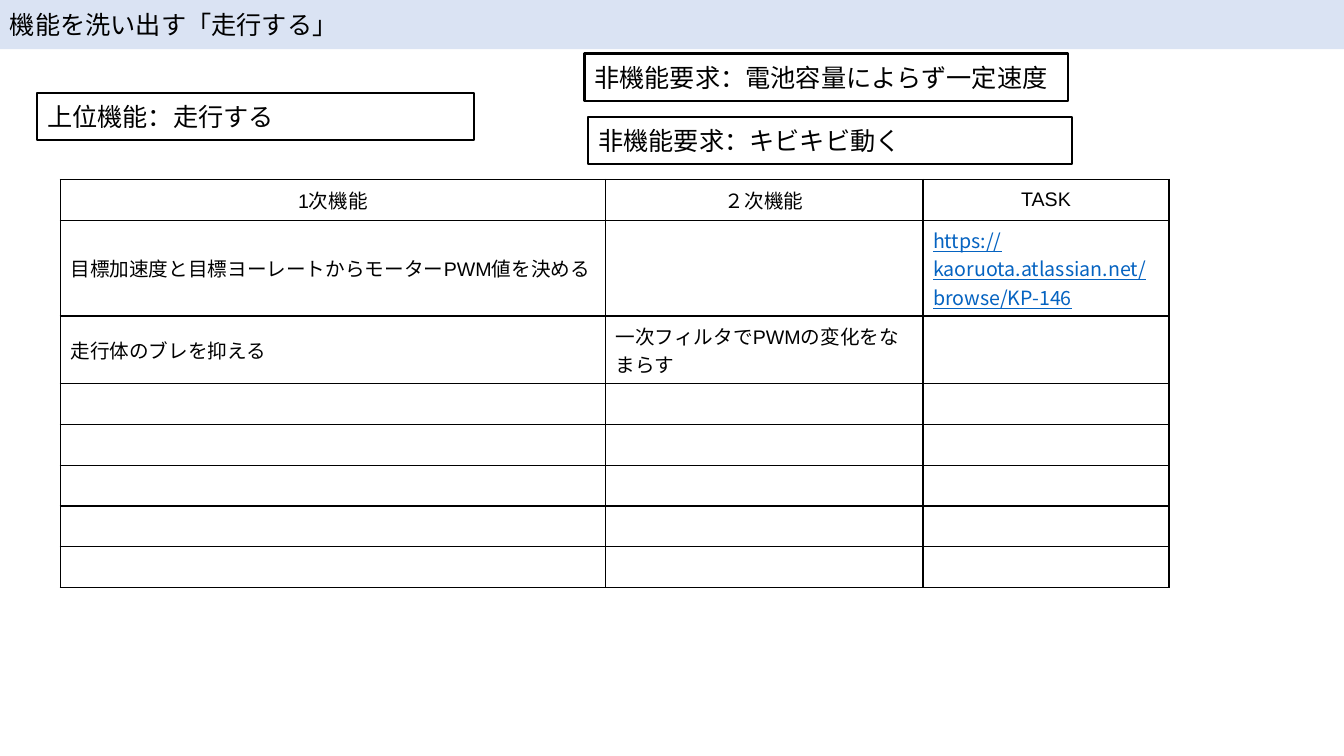
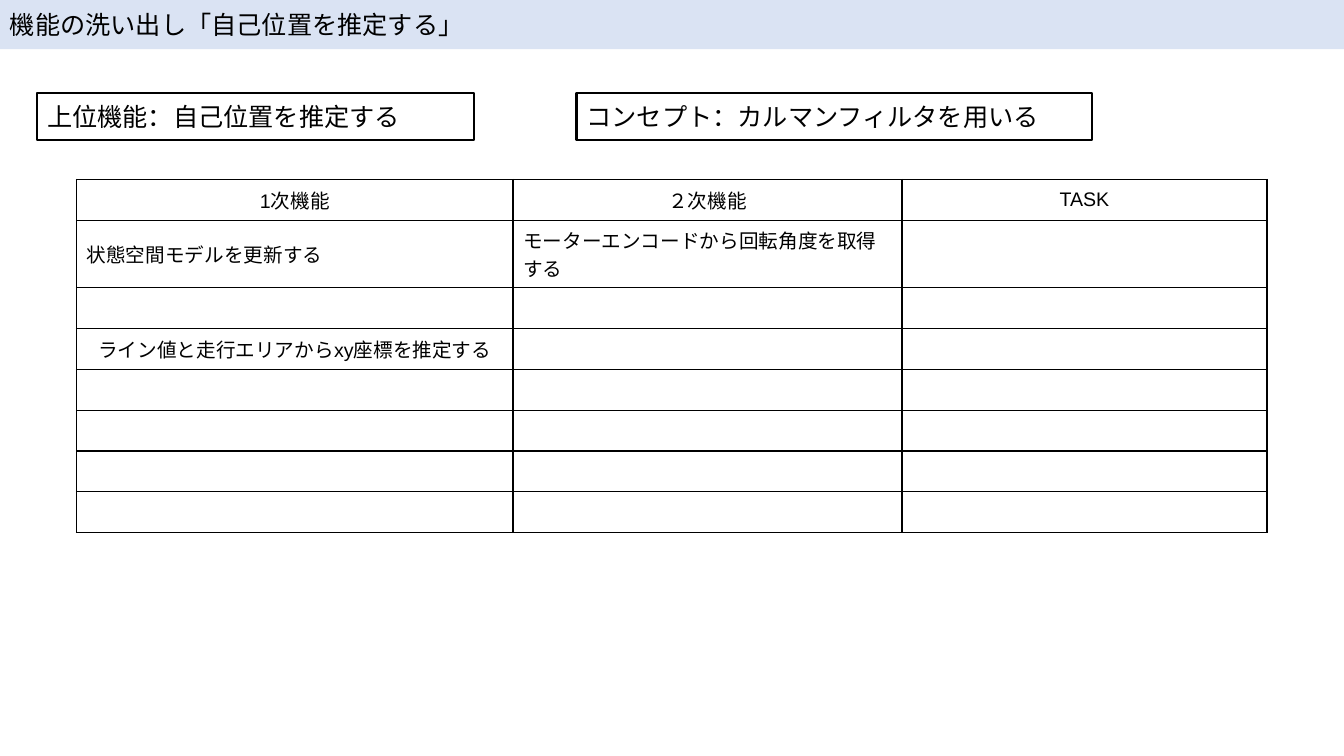
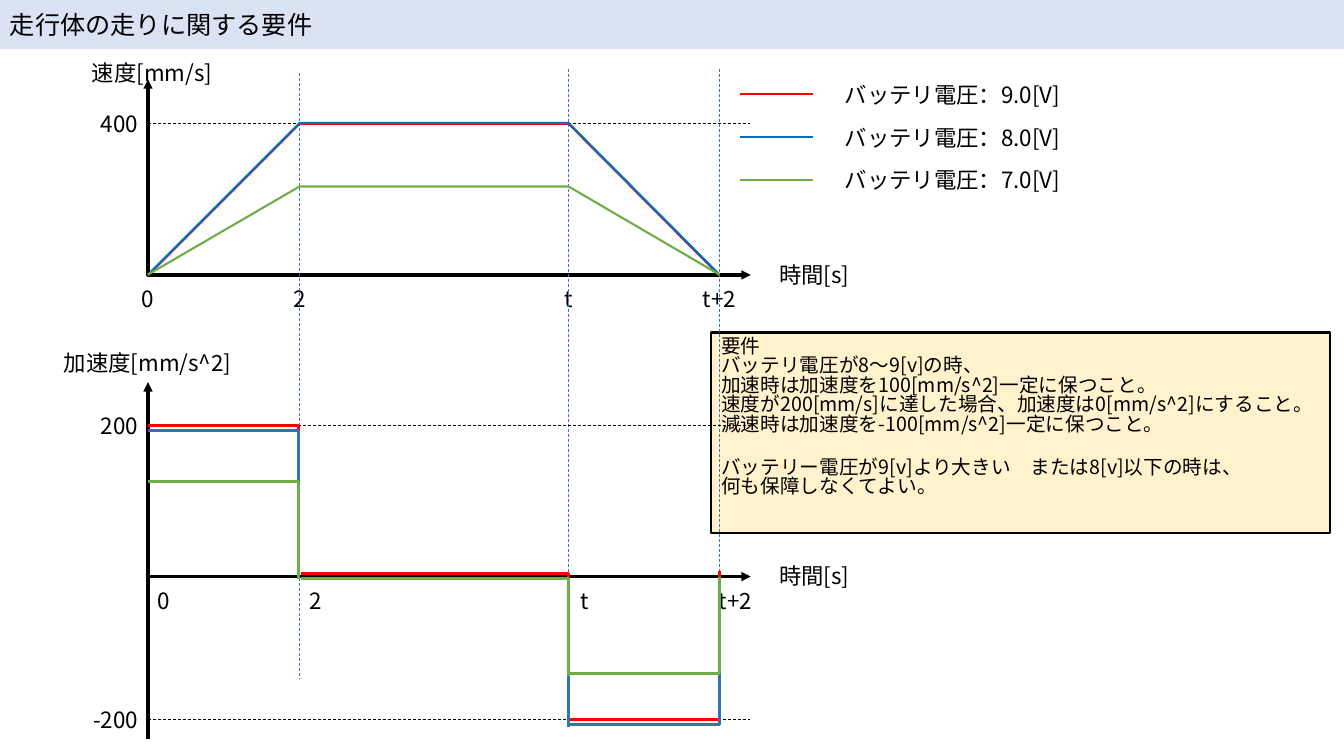
from lxml.etree import SubElement
from pptx import Presentation
from pptx.dml.color import RGBColor
from pptx.enum.dml import MSO_LINE
from pptx.enum.shapes import MSO_CONNECTOR, MSO_SHAPE
from pptx.enum.text import MSO_ANCHOR, PP_ALIGN
from pptx.oxml.ns import qn
from pptx.util import Cm, Pt

BLACK = RGBColor(0x00, 0x00, 0x00)
WHITE = RGBColor(0xFF, 0xFF, 0xFF)
BAND = RGBColor(0xDA, 0xE3, 0xF3)
NOTE = RGBColor(0xFF, 0xF2, 0xCC)
LINK = RGBColor(0x05, 0x63, 0xC1)
GUIDE = RGBColor(0x44, 0x72, 0xC4)
RED = RGBColor(0xFF, 0x00, 0x00)
BLUE = RGBColor(0x00, 0x70, 0xC0)
STEEL = RGBColor(0x2E, 0x75, 0xB6)
GREEN = RGBColor(0x70, 0xAD, 0x47)

BODY_FONT = "Noto Sans CJK JP"
TABLE_FONT = "Arial"
WIDTH, HEIGHT = 33.87, 19.05
LABEL_HEIGHT = 1.19
ROW_HEIGHT, ROW_COUNT = 1.03, 8
HEADINGS = ("1次機能", "２次機能", "TASK")

# Time positions shared by both graphs, in cm
START, TWO, CRUISE_END, STOP = 3.73, 7.55, 14.33, 18.13
TICKS = {"0": START, "2": TWO, "t": CRUISE_END, "t+2": STOP}
AXIS_END = 18.92


class Deck:
    def __init__(self):
        self.prs = Presentation()
        self.prs.slide_width, self.prs.slide_height = Cm(WIDTH), Cm(HEIGHT)
        self.shapes = None

    def new_slide(self, title):
        self.shapes = self.prs.slides.add_slide(self.prs.slide_layouts[6]).shapes
        self.box(title, 0, 0, WIDTH, 1.24, fill=BAND, outlined=False)

    def style(self, paragraph, size, align=PP_ALIGN.LEFT, name=BODY_FONT, color=BLACK):
        paragraph.alignment = align
        font = paragraph.font
        font.size, font.name = Pt(size), name
        font.color.rgb = color
        defaults = paragraph._p.pPr.find(qn("a:defRPr"))
        SubElement(defaults, qn("a:ea")).set("typeface", BODY_FONT)

    def box(self, text, left, top, width, height=LABEL_HEIGHT, fill=WHITE,
            outlined=True, size=18, anchor=MSO_ANCHOR.MIDDLE):
        box = self.shapes.add_shape(
            MSO_SHAPE.RECTANGLE, Cm(left), Cm(top), Cm(width), Cm(height))
        box.shadow.inherit = False
        box.fill.solid()
        box.fill.fore_color.rgb = fill
        if outlined:
            self.stroke(box, BLACK, 1.5)
        else:
            box.line.fill.background()
        frame = box.text_frame
        frame.word_wrap, frame.vertical_anchor = True, anchor
        frame.text = text
        for paragraph in frame.paragraphs:
            self.style(paragraph, size)
        return box

    def label(self, text, left, top, width, align=PP_ALIGN.CENTER):
        label = self.shapes.add_textbox(Cm(left), Cm(top), Cm(width), Cm(LABEL_HEIGHT))
        frame = label.text_frame
        frame.word_wrap, frame.vertical_anchor = True, MSO_ANCHOR.MIDDLE
        frame.text = text
        self.style(frame.paragraphs[0], 16, align)
        return label

    def stroke(self, shape, color, width):
        shape.line.color.rgb = color
        shape.line.width = Pt(width)

    def line(self, x1, y1, x2, y2, color, width=0.5, dashed=True):
        line = self.shapes.add_connector(
            MSO_CONNECTOR.STRAIGHT, Cm(x1), Cm(y1), Cm(x2), Cm(y2))
        self.stroke(line, color, width)
        if dashed:
            line.line.dash_style = MSO_LINE.DASH
        SubElement(line.element.spPr, qn("a:effectLst"))
        return line

    def polyline(self, points, color, width, arrows=False):
        corners = [(Cm(x), Cm(y)) for x, y in points]
        builder = self.shapes.build_freeform(*corners[0])
        builder.add_line_segments(corners[1:], close=False)
        outline = builder.convert_to_shape()
        outline.shadow.inherit = False
        outline.fill.background()
        self.stroke(outline, color, width)
        if arrows:
            ln = outline.element.spPr.find(qn("a:ln"))
            for end in ("a:headEnd", "a:tailEnd"):
                SubElement(ln, qn(end)).set("type", "triangle")

    def function_table(self, left, widths, entries, centred=()):
        """Draw the grid; entries maps (row, column) to text below the headings."""
        table = self.shapes.add_table(
            ROW_COUNT, len(widths), Cm(left), Cm(4.52),
            Cm(sum(widths)), Cm(ROW_HEIGHT * ROW_COUNT)).table
        table.first_row = table.horz_banding = False
        for column, width in zip(table.columns, widths):
            column.width = Cm(width)
        texts = {(0, c): heading for c, heading in enumerate(HEADINGS)} | entries
        for r, row in enumerate(table.rows):
            row.height = Cm(ROW_HEIGHT)
            for c, cell in enumerate(row.cells):
                self.border(cell)
                cell.fill.background()
                cell.vertical_anchor = MSO_ANCHOR.MIDDLE
                if (r, c) not in texts:
                    continue
                cell.text = texts[r, c]
                paragraph = cell.text_frame.paragraphs[0]
                if cell.text.startswith("https"):
                    self.style(paragraph, 14, color=LINK)
                    paragraph.font.underline = True
                else:
                    middle = r == 0 or (r, c) in centred
                    self.style(paragraph, 14, PP_ALIGN.CENTER if middle else PP_ALIGN.LEFT,
                               TABLE_FONT)

    def border(self, cell):
        properties = cell._tc.get_or_add_tcPr()
        for side in ("a:lnL", "a:lnR", "a:lnT", "a:lnB"):
            edge = SubElement(properties, qn(side), w=str(Pt(1)))
            fill = SubElement(edge, qn("a:solidFill"))
            SubElement(fill, qn("a:srgbClr"), val=str(BLACK))

    def time_axis(self, top, base, tick_shift=0):
        """Draw arrowed axes with their time ticks and caption."""
        self.polyline([(START, top), (START, base), (AXIS_END, base)], BLACK, 2.25, True)
        self.label("時間[s]", AXIS_END, base - 0.61, 3.2)
        for text, x in TICKS.items():
            width = 1.73 if len(text) > 1 else LABEL_HEIGHT
            self.label(text, x - width / 2 + tick_shift, base, width)

    def level(self, text, y):
        """Draw a dashed level line joined to its value."""
        width = 2.21
        value = self.label(text, START - width, y - LABEL_HEIGHT / 2, width, PP_ALIGN.RIGHT)
        self.line(START, y, 18.9, y, BLACK).begin_connect(value, 3)

    def speed_curve(self, base, top, color):
        self.polyline([(START, base), (TWO, top), (CRUISE_END, top), (STOP, base)], color, 1.5)

    def acceleration_steps(self, base, step, color):
        rise, fall = base - step, base + step
        lift = 0.05
        for points in (
            [(TWO - 0.03, base), (TWO - 0.03, rise), (START, rise)],
            [(CRUISE_END, fall), (CRUISE_END, base), (TWO + 0.04, base)],
            [(STOP, base - lift), (STOP, fall - lift), (CRUISE_END + 0.02, fall - lift)],
        ):
            self.polyline(points, color, 2.25)

    def legend(self, entries):
        for i, (volts, color) in enumerate(entries):
            top = 1.78 + 1.08 * i
            middle = top + LABEL_HEIGHT / 2
            text = self.label(f"バッテリ電圧：{volts}[V]", 20.5, top, 7.01)
            key = self.line(18.64, middle, 20.5, middle, color, 1.5, dashed=False)
            key.end_connect(text, 1)


def driving_functions(deck):
    deck.new_slide("機能を洗い出す「走行する」")
    deck.function_table(1.52, (13.74, 8, 6.2), {
        (1, 0): "目標加速度と目標ヨーレートからモーターPWM値を決める",
        (1, 2): "https://kaoruota.atlassian.net/browse/KP-146",
        (2, 0): "走行体のブレを抑える",
        (2, 1): "一次フィルタでPWMの変化をなまらす",
    })
    deck.box("上位機能：走行する", 0.94, 2.34, 11)
    deck.box("非機能要求：電池容量によらず一定速度", 14.73, 1.35, 12.19)
    deck.box("非機能要求：キビキビ動く", 14.83, 2.95, 12.19)


def position_functions(deck):
    deck.new_slide("機能の洗い出し「自己位置を推定する」")
    deck.function_table(1.93, (11, 9.8, 9.2), {
        (1, 0): "状態空間モデルを更新する",
        (1, 1): "モーターエンコードから回転角度を取得する",
        (3, 0): "ライン値と走行エリアからxy座標を推定する",
    }, centred={(3, 0)})
    deck.box("上位機能：自己位置を推定する", 0.94, 2.34, 11)
    deck.box("コンセプト：カルマンフィルタを用いる", 14.53, 2.34, 13)


def driving_requirements(deck):
    deck.new_slide("走行体の走りに関する要件")
    requirement = deck.box("\n".join((
        "要件",
        "バッテリ電圧が8〜9[v]の時、",
        "加速時は加速度を100[mm/s^2]一定に保つこと。",
        "速度が200[mm/s]に達した場合、加速度は0[mm/s^2]にすること。",
        "減速時は加速度を-100[mm/s^2]一定に保つこと。",
        "バッテリー電圧が9[v]より大きい　または8[v]以下の時は、",
        "何も保障しなくてよい。",
    )), 17.93, 8.38, 15.6, 5.05, NOTE, size=14, anchor=MSO_ANCHOR.TOP)
    paragraphs = requirement.text_frame.paragraphs
    for paragraph in paragraphs:
        paragraph.line_spacing = 0.83
    paragraphs[5].space_before = Pt(16.9)

    speed_base, acceleration_base = 6.93, 14.53
    deck.time_axis(2, speed_base)
    deck.label("速度[mm/s]", 1.93, 1.24, 3.81)
    deck.level("400", 3.12)
    for x, top in ((TWO, 1.85), (CRUISE_END, 1.73), (STOP, 1.73)):
        deck.line(x, top, x, top + 15.27, GUIDE)
    for base, top, color in ((6.94, 3.12, RED), (6.92, 3.1, BLUE), (6.92, 4.7, GREEN)):
        deck.speed_curve(base, top, color)
    deck.legend((("9.0", RED), ("8.0", BLUE), ("7.0", GREEN)))

    deck.time_axis(9.63, acceleration_base, tick_shift=0.4)
    deck.polyline([(START, 18.62), (START, acceleration_base)], BLACK, 2.25)
    deck.label("加速度[mm/s^2]", 1.32, 8.53, 4.8)
    deck.level("200", 10.72)
    deck.level("-200", 18.13)
    for base, step, color in ((14.45, 3.73, RED), (14.58, 3.73, STEEL), (14.58, 2.45, GREEN)):
        deck.acceleration_steps(base, step, color)


def main():
    deck = Deck()
    driving_functions(deck)
    position_functions(deck)
    driving_requirements(deck)
    deck.prs.save("out.pptx")


if __name__ == "__main__":
    main()
